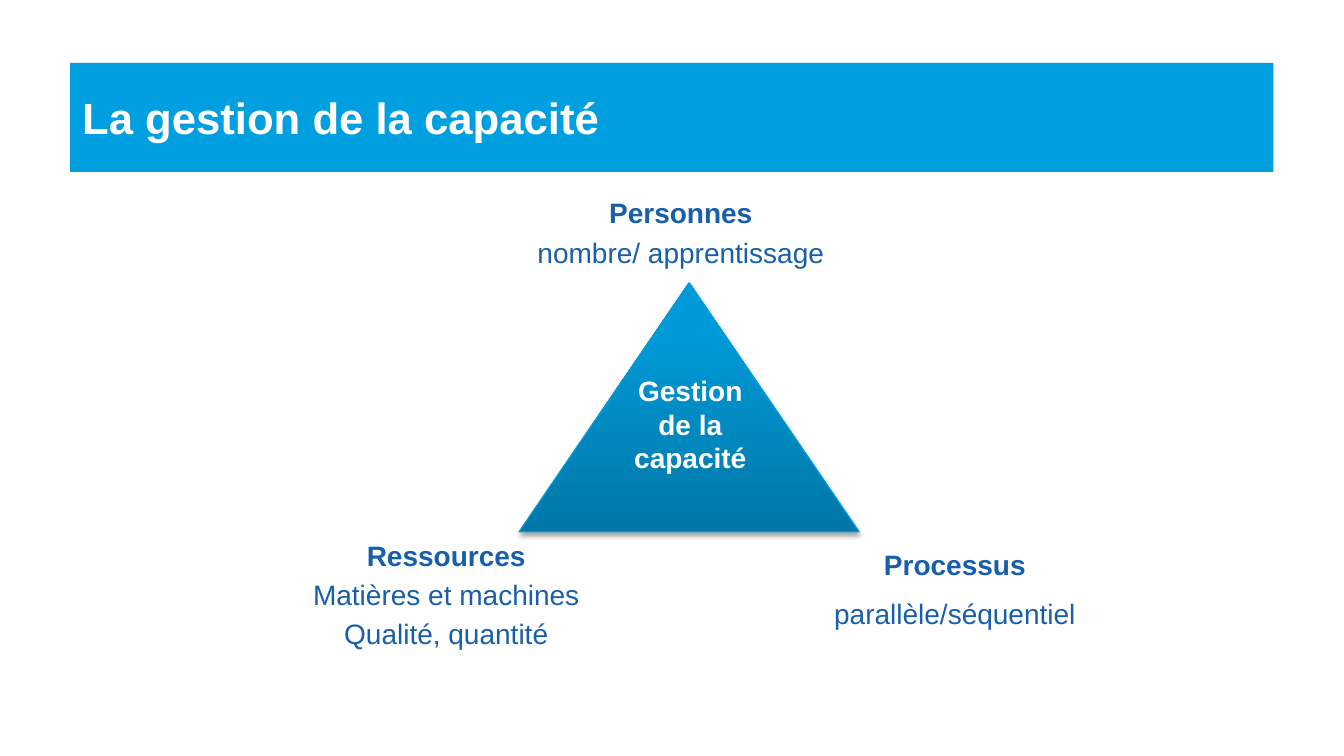
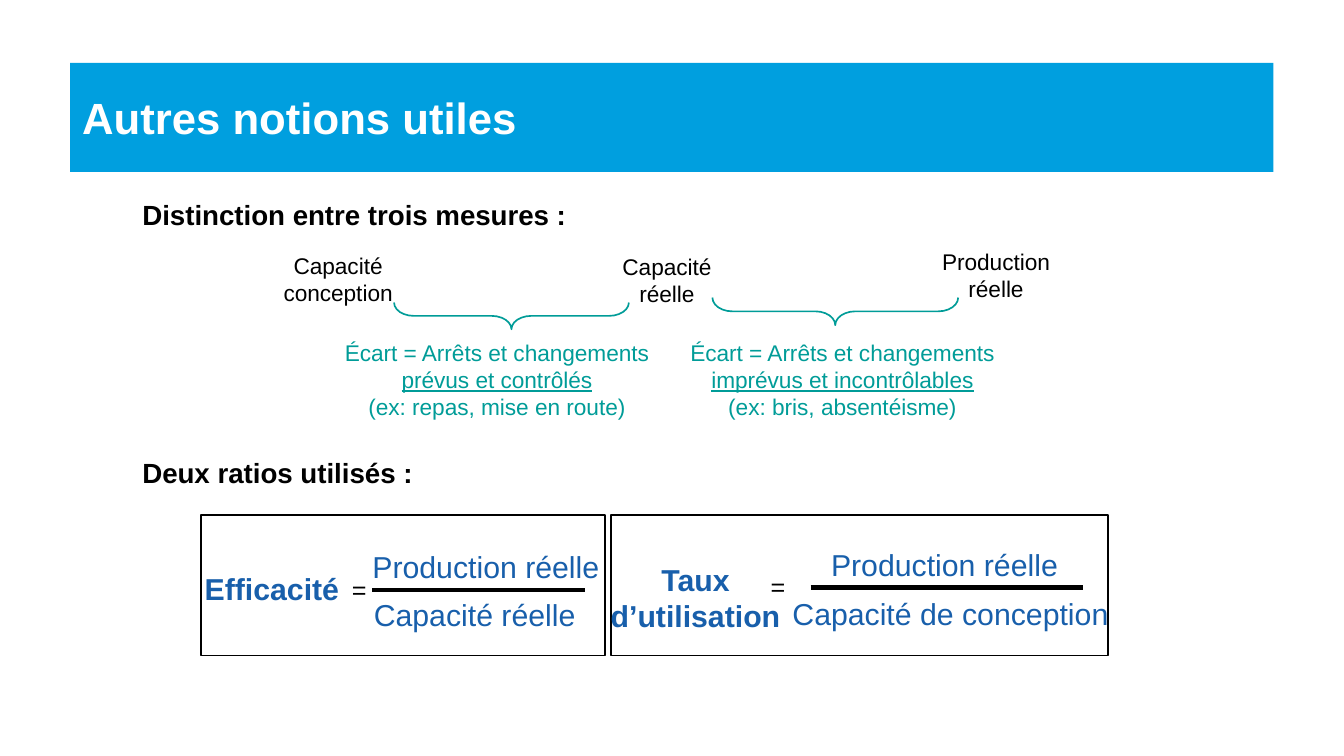
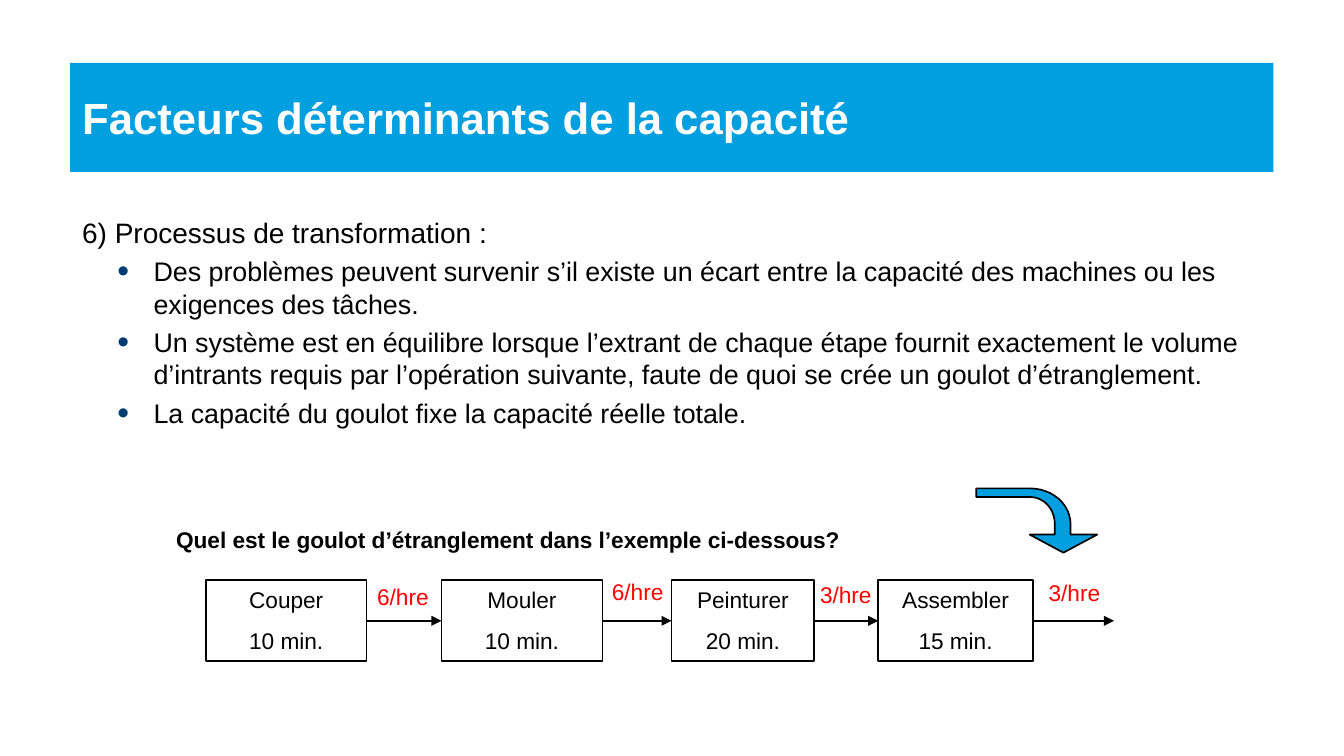
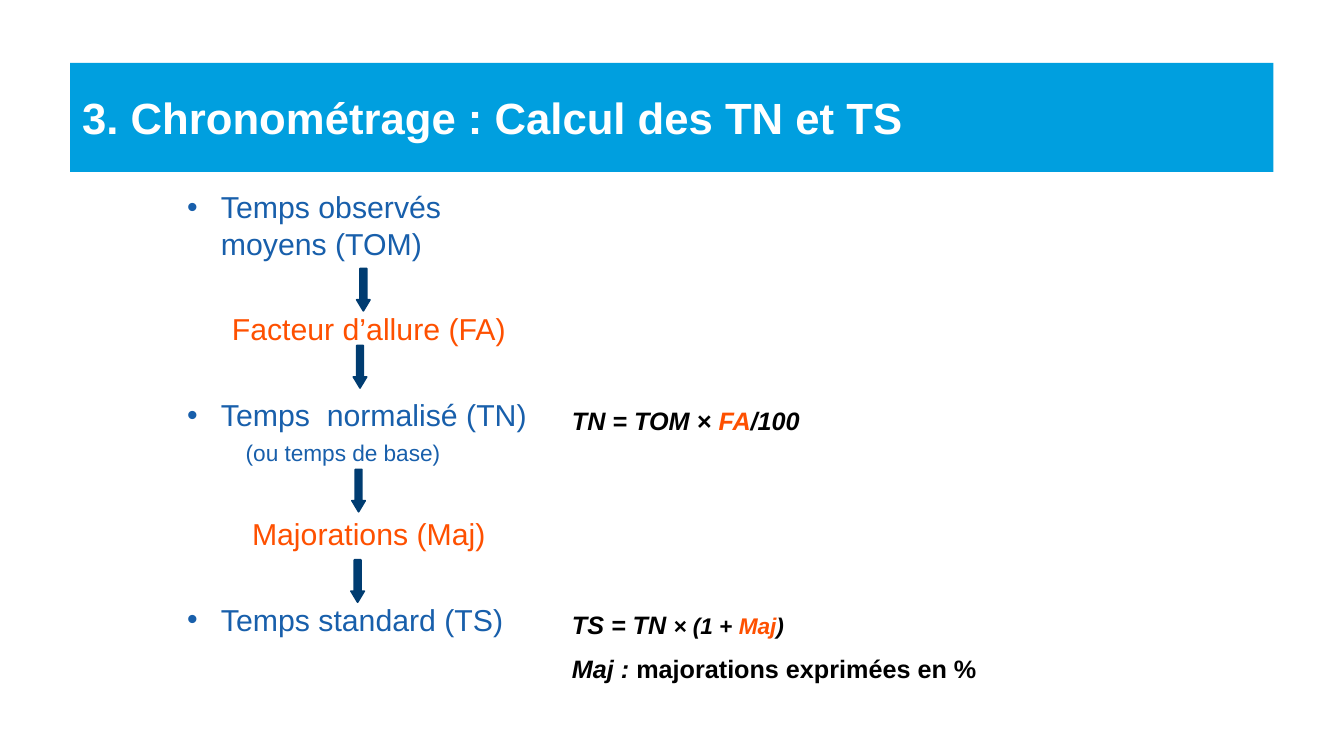
from lxml import etree
from pptx import Presentation
from pptx import util as u
from pptx.dml.color import RGBColor
from pptx.enum import shapes, text
from pptx.oxml.ns import qn

# Shared look
FONT = "Arial"
BAND = RGBColor(0x00, 0x9F, 0xDF)
WHITE = RGBColor(0xFF, 0xFF, 0xFF)
BLACK = RGBColor(0x00, 0x00, 0x00)
BLUE = RGBColor(0x18, 0x5F, 0xAB)
NAVY = RGBColor(0x00, 0x3C, 0x71)
TEAL = RGBColor(0x00, 0x9C, 0x98)
RED = RGBColor(0xFF, 0x00, 0x00)
ORANGE = RGBColor(0xFE, 0x50, 0x00)
EDGE = RGBColor(0x00, 0x9B, 0xDA)
DEEP = RGBColor(0x00, 0x77, 0xA6)
BRIGHT = RGBColor(0x00, 0x9A, 0xD8)
TITLE_AREA = (1.47, 1.32, 25.27, 2.29)
CENTER = text.PP_ALIGN.CENTER
NO_INSET = (0, 0)
SMALL, MEDIUM, LARGE = 13.5, 16.7, 18

# Content: areas are left, top, width, height in centimetres
CORNERS = [  # area, heading, details, line spacing of heading and of details
    ((9.14, 3.99, 10.31, 1.83), "Personnes", ["nombre/ apprentissage"], 1, 0.7),
    ((5.41, 11.38, 7.92, 2.49), "Ressources",
     ["Matières et machines", "Qualité, quantité"], 0.7, 0.7),
    ((16.48, 11.38, 7.14, 2.03), "Processus", ["parallèle/séquentiel"], 1, 1),
]
HEADINGS = [
    ((2.74, 4.04, 9.55, 0.97), "Distinction entre trois mesures :"),
    ((2.74, 9.45, 6.27, 0.97), "Deux ratios utilisés :"),
]
MEASURES = [
    ((5.31, 5.16, 3.58, 1.42), "Capacité conception"),
    ((12.24, 5.18, 3.53, 1.42), "Capacité réelle"),
    ((19.15, 5.08, 3.53, 1.42), "Production réelle"),
]
BRACES = [((10.46, 4.17, 0.56, 4.93), 0.74), ((17.25, 3.96, 0.58, 5.16), 0.72)]
GAPS = [
    ((6.88, 6.99, 7.11, 1.98), "prévus et contrôlés", "(ex: repas, mise en route)"),
    ((14.02, 6.99, 7.34, 1.98), "imprévus et incontrôlables", "(ex: bris, absentéisme)"),
]
RATIOS = [
    dict(frame=(4.22, 10.82, 8.48, 2.95), bar=(7.82, 12.29, 12.4),
         label=("Efficacité", (4.29, 11.99, 2.84, 0.76)),
         top=("Production réelle", (7.82, 11.51, 4.8, 0.76)),
         bottom=("Capacité réelle", (7.85, 12.52, 4.27, 0.76)),
         equals=(7.39, 12.07, 0.3, 0.64)),
    dict(frame=(12.83, 10.82, 10.44, 2.95), bar=(17.02, 22.73, 12.34),
         label=("Taux d’utilisation", (12.75, 11.79, 3.71, 1.55)),
         top=("Production réelle", (17.45, 11.48, 4.8, 0.76)),
         bottom=("Capacité de conception", (16.64, 12.5, 6.71, 0.76)),
         equals=(16.18, 12.01, 0.3, 0.64)),
]
FACTORS = [
    "Des problèmes peuvent survenir s’il existe un écart entre la capacité "
    "des machines ou les exigences des tâches.",
    "Un système est en équilibre lorsque l’extrant de chaque étape fournit "
    "exactement le volume d’intrants requis par l’opération suivante, faute "
    "de quoi se crée un goulot d’étranglement.",
    "La capacité du goulot fixe la capacité réelle totale.",
]
STEPS_TOP, STEPS_HEIGHT, FLOW_END = 12.19, 1.7, 23.39
STEPS = [  # name, time, left, width, hourly rate, place of the rate
    ("Couper", "10 min.", 4.32, 3.38, "6/hre", (7.67, 12.12)),
    ("Mouler", "10 min.", 9.27, 3.38, "6/hre", (12.6, 12.01)),
    ("Peinturer", "20 min.", 14.1, 3, "3/hre", (16.97, 12.07)),
    ("Assembler", "15 min.", 18.44, 3.25, "3/hre", (21.77, 12.04)),
]
BENT_ARROW = [  # a point, or the three control points of a curve
    (22.33, 11.61), (23.04, 11.23), (22.48, 11.23), (22.48, 11.02),
    ((22.48, 10.59), (22.1, 10.26), (21.62, 10.26)),
    (20.5, 10.26), (20.5, 10.44), (21.62, 10.44),
    ((21.92, 10.44), (22.15, 10.69), (22.15, 11.02)),
    (22.15, 11.23), (21.62, 11.23),
]
TIMES_GAP = 29.5
DOWN_ARROWS = [(7.49, 5.64), (7.42, 7.26), (7.39, 9.86), (7.37, 11.76)]


def lengths(*values):
    return [u.Cm(value) for value in values]


# Text
def style_font(font, size=None, color=None, bold=None, italic=None, underline=None):
    if size:
        font.size = u.Pt(size)
    if color is not None:
        font.color.rgb = color
    font.bold, font.italic, font.underline = bold, italic, underline


def line(content, size=SMALL, color=BLACK, bold=False, italic=None, **layout):
    """Describe a paragraph; content is a string or (string, run style) pairs."""
    return content, dict(size=size, color=color, bold=bold, italic=italic), layout


def set_bullet(para, color, scale):
    props = para._p.get_or_add_pPr()
    if color is not None:
        holder = etree.SubElement(props, qn("a:buClr"))
        etree.SubElement(holder, qn("a:srgbClr"), val=str(color))
    if scale:
        etree.SubElement(props, qn("a:buSzPct"), val=str(scale * 1000))
    etree.SubElement(props, qn("a:buFont"), typeface=FONT)
    etree.SubElement(props, qn("a:buChar"), char="•")


def fill_text(shape, lines, inset=None, wrap=True, anchor=text.MSO_ANCHOR.TOP):
    frame = shape.text_frame
    frame.auto_size = text.MSO_AUTO_SIZE.NONE
    frame.word_wrap, frame.vertical_anchor = wrap, anchor
    if inset:
        frame.margin_left = frame.margin_right = u.Cm(inset[0])
        frame.margin_top = frame.margin_bottom = u.Cm(inset[1])
    for index, (content, style, layout) in enumerate(lines):
        para = frame.add_paragraph() if index else frame.paragraphs[0]
        para.level = layout.get("level", 0)
        props = para._p.get_or_add_pPr()
        props.set("marL", str(u.Cm(layout.get("left", 0))))
        props.set("indent", str(-u.Cm(layout.get("hang", 0))))
        if layout.get("bullet"):
            set_bullet(para, layout.get("bullet_color"), layout.get("bullet_scale"))
        else:
            etree.SubElement(props, qn("a:buNone"))
        para.alignment = layout.get("align", text.PP_ALIGN.LEFT)
        para.line_spacing = layout.get("spacing", 1.0)
        para.space_before = u.Pt(layout.get("before", 0) if index else 0)
        para.font.name = FONT
        style_font(para.font, **style)
        for words, change in [(content, {})] if isinstance(content, str) else content:
            if words == "\n":
                para.add_line_break()
                continue
            span = para.add_run()
            span.text = words
            if change:
                style_font(span.font, **change)


def add_text(target, area, lines, **options):
    box = target.shapes.add_textbox(*lengths(*area))
    fill_text(box, lines, **options)
    return box


# Shapes
def add_figure(target, kind, area, fill=None, edge=BLACK, width=1):
    figure = target.shapes.add_shape(kind, *lengths(*area))
    paint(figure, fill, edge, width)
    return figure


def paint(figure, fill, edge, width=1):
    figure.shadow.inherit = False
    if fill is None:
        figure.fill.background()
    else:
        figure.fill.solid()
        figure.fill.fore_color.rgb = fill
    figure.line.color.rgb = edge
    figure.line.width = u.Pt(width)


def add_line(target, start, end, width=1, arrow=False):
    link = target.shapes.add_connector(
        shapes.MSO_CONNECTOR.STRAIGHT, *lengths(*start, *end))
    link.line.color.rgb = BLACK
    link.line.width = u.Pt(width)
    if arrow:
        etree.SubElement(link.line._get_or_add_ln(), qn("a:tailEnd"),
                         type="triangle", w="med", len="med")
    etree.SubElement(link._element.spPr, qn("a:effectLst"))
    return link


def place(shape, area):
    shape.left, shape.top, shape.width, shape.height = lengths(*area)


def add_page(deck, title, layout=5):
    page = deck.slides.add_slide(deck.slide_layouts[layout])
    band = page.shapes.title
    place(band, TITLE_AREA)
    band.fill.solid()
    band.fill.fore_color.rgb = BAND
    fill_text(band, [line(title, 26, WHITE, True)], anchor=text.MSO_ANCHOR.MIDDLE)
    return page


# Slides
def capacity_page(deck):
    page = add_page(deck, "La gestion de la capacité")
    triangle = add_figure(page, shapes.MSO_SHAPE.ISOSCELES_TRIANGLE,
                          (10.9, 5.94, 7.14, 5.23), edge=EDGE, width=0.75)
    triangle.fill.gradient()
    triangle.fill.gradient_angle = 90
    for stop, color, position in zip(triangle.fill.gradient_stops,
                                     (DEEP, BRIGHT), (0, 0.8)):
        stop.color.rgb, stop.position = color, position
    effects = triangle._element.spPr.find(qn("a:effectLst"))
    shade = etree.SubElement(effects, qn("a:outerShdw"), blurRad="40000",
                             dist="23000", dir="5400000", rotWithShape="0")
    black = etree.SubElement(shade, qn("a:srgbClr"), val=str(BLACK))
    etree.SubElement(black, qn("a:alpha"), val="35000")
    for area, heading, details, first, rest in CORNERS:
        add_text(page, area, [
            line(heading, MEDIUM, BLUE, True, align=CENTER, spacing=first),
            *(line(detail, MEDIUM, BLUE, align=CENTER, spacing=rest, before=9.3)
              for detail in details)])
    add_text(page, (12.83, 7.72, 3.33, 3.45),
             [line("Gestion de la capacité", MEDIUM, WHITE, True, align=CENTER)])


def notions_page(deck):
    page = add_page(deck, "Autres notions utiles")
    for area, heading in HEADINGS:
        add_text(page, area, [line(heading, 16.5, bold=True)])
    for area, measure in MEASURES:
        add_text(page, area, [line(measure, align=CENTER)])
    for area, curve in BRACES:
        brace = add_figure(page, shapes.MSO_SHAPE.LEFT_BRACE, area, edge=TEAL)
        brace.adjustments[0] = curve
        brace.rotation = 270
    for area, cause, example in GAPS:
        spans = [("Écart = Arrêts et changements", {}), ("\n", {}),
                 (cause, dict(underline=True)), ("\n", {}), (example, {})]
        add_text(page, area, [line(spans, color=TEAL, align=CENTER)])
    for ratio in RATIOS:
        group = page.shapes.add_group_shape()
        holder = type("Holder", (), {"shapes": group.shapes})
        add_figure(holder, shapes.MSO_SHAPE.RECTANGLE, ratio["frame"])
        start, end, height = ratio["bar"]
        add_line(holder, (start, height), (end, height), 2.5)
        label, area = ratio["label"]
        add_text(holder, area, [line(label, LARGE, BLUE, True, align=CENTER)],
                 inset=NO_INSET)
        for part in ("top", "bottom"):
            words, area = ratio[part]
            add_text(holder, area, [line(words, LARGE, BLUE)],
                     inset=NO_INSET, wrap=False)
        add_text(holder, ratio["equals"], [line("=", 15)], inset=NO_INSET, wrap=False)


def add_bent_arrow(page):
    points = []
    for item in BENT_ARROW:
        if not isinstance(item[0], tuple):
            points.append(item)
            continue
        corners = (points[-1], *item)
        for step in range(1, 13):
            t = step / 12
            weights = ((1 - t) ** 3, 3 * t * (1 - t) ** 2, 3 * t * t * (1 - t), t ** 3)
            points.append(tuple(sum(w * corner[axis] for w, corner in zip(weights, corners))
                                for axis in (0, 1)))
    first, *rest = [lengths(*point) for point in points]
    outline = page.shapes.build_freeform(*first)
    outline.add_line_segments(rest, close=True)
    paint(outline.convert_to_shape(), BAND, BLACK)


def factors_page(deck):
    page = add_page(deck, "Facteurs déterminants de la capacité", 1)
    body = page.placeholders[1]
    place(body, (1.47, 4.39, 25.27, 8.86))
    fill_text(body, [
        line("6) Processus de transformation :", MEDIUM),
        *(line(factor, 16, level=1, left=1.5, hang=0.76, before=3.7, bullet=True,
               bullet_color=NAVY, bullet_scale=125) for factor in FACTORS)])
    add_text(page, (3.45, 10.92, 18.01, 0.84), [
        line("Quel est le goulot d’étranglement dans l’exemple ci-dessous?", bold=True)])
    boxes = []
    for name, time, left, width, rate, corner in STEPS:
        box = add_figure(page, shapes.MSO_SHAPE.RECTANGLE,
                         (left, STEPS_TOP, width, STEPS_HEIGHT))
        fill_text(box, [line(name, align=CENTER), line(time, align=CENTER, before=7.7)])
        boxes.append(box)
        add_text(page, (*corner, 1.9, 0.84), [line(rate, color=RED)])
    middle = STEPS_TOP + STEPS_HEIGHT / 2
    for box, following in zip(boxes, boxes[1:] + [None]):
        arrow = add_line(page, (FLOW_END - 1, middle), (FLOW_END, middle), arrow=True)
        arrow.begin_connect(box, 3)
        if following is not None:
            arrow.end_connect(following, 1)
    add_bent_arrow(page)


def timing_page(deck):
    page = add_page(deck, "3. Chronométrage : Calcul des TN et TS", 1)
    body = page.placeholders[1]
    place(body, (3.73, 3.86, 8.03, 9.98))
    item = dict(left=0.71, hang=0.71, bullet=True, before=TIMES_GAP)
    factor = dict(align=CENTER, before=TIMES_GAP)
    fill_text(body, [
        line("Temps observés moyens (TOM)", LARGE, BLUE, **item),
        line("Facteur d’allure (FA)", LARGE, ORANGE, **factor),
        line("Temps  normalisé (TN)", LARGE, BLUE, **item),
        line("(ou temps de base)", SMALL, BLUE, left=1.23, before=3.5),
        line("Majorations (Maj)", LARGE, ORANGE, **factor),
        line("Temps standard (TS)", LARGE, BLUE, **item),
    ], inset=(0.2, 0.1))
    for corner in DOWN_ARROWS:
        arrow = add_figure(page, shapes.MSO_SHAPE.DOWN_ARROW, (*corner, 0.28, 0.89),
                           NAVY, NAVY)
        arrow.adjustments[1] = 0.83
    formula = dict(size=15, bold=True, italic=True)
    strong = dict(bold=True, italic=True)
    small = dict(size=SMALL, **strong)
    add_text(page, (11.76, 8.38, 7.65, 0.89), [
        line([("TN = TOM × ", {}), ("FA", dict(color=ORANGE, **strong)),
              ("/100", {})], **formula)])
    add_text(page, (11.76, 12.67, 9.12, 2.82), [
        line([("TS = TN ", {}), ("× (1 + ", small),
              ("Maj", dict(color=ORANGE, **small)), (")", small)], **formula),
        line([("Maj :", {}), (" majorations exprimées en %", dict(bold=True, italic=False))],
             before=8.4, **formula)])


def main():
    deck = Presentation()
    deck.slide_width, deck.slide_height = lengths(28.22, 15.88)
    for build in (capacity_page, notions_page, factors_page, timing_page):
        build(deck)
    deck.save("out.pptx")


if __name__ == "__main__":
    main()
